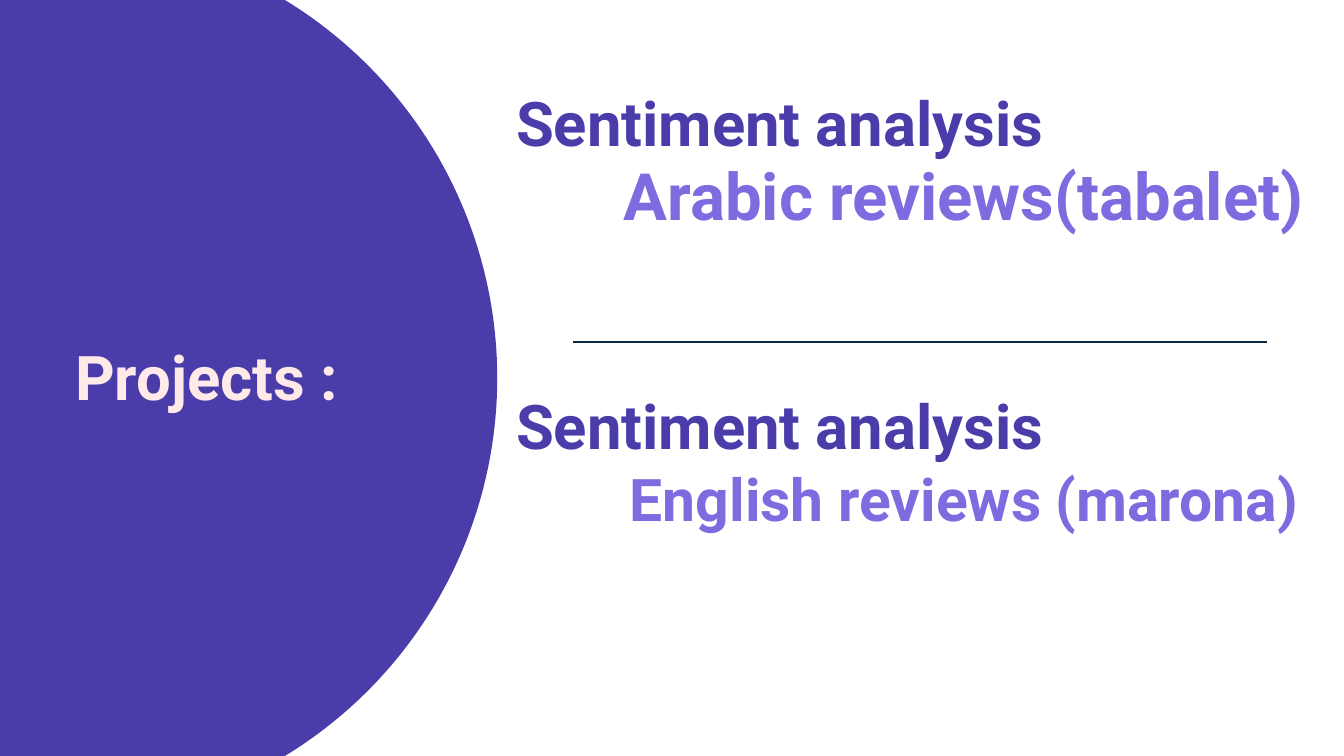
import math
from lxml import etree
from pptx import Presentation
from pptx.dml.color import RGBColor
from pptx.enum.shapes import MSO_CONNECTOR
from pptx.enum.text import MSO_ANCHOR, MSO_AUTO_SIZE, PP_ALIGN
from pptx.oxml.ns import qn
from pptx.util import Inches, Pt

LEFT, CENTER = PP_ALIGN.LEFT, PP_ALIGN.CENTER
TOP = MSO_ANCHOR.TOP
FIXED = MSO_AUTO_SIZE.NONE
STRAIGHT = MSO_CONNECTOR.STRAIGHT
COMPARISON_LAYOUT = 4
WIDTH, HEIGHT = 20, 11.25
FONT = "Roboto"
COLORS = {
    "panel": "4A3DAA",
    "title": "FFE9E9",
    "source": "7E6BDF",
    "rule": "0E2841",
    "page": "FFFFFF",
}


def color(name):
    return RGBColor.from_string(COLORS[name])


class ProjectSlide:
    def __init__(self, deck):
        self.page = deck.slides.add_slide(deck.slide_layouts[COMPARISON_LAYOUT])
        self.page.background.fill.solid()
        self.page.background.fill.fore_color.rgb = color("page")

    def x(self, share):
        return Inches(WIDTH * share)

    def y(self, share):
        return Inches(HEIGHT * share)

    def round_panel(self, edge, reach, steps=90):
        chord, half = WIDTH * edge, HEIGHT / 2
        bulge = WIDTH * reach - chord
        radius = (half**2 + bulge**2) / (2 * bulge)
        center = WIDTH * reach - radius
        sweep = math.asin(half / radius)
        angles = [sweep * (2 * step / steps - 1) for step in range(steps + 1)]
        arc = [
            (Inches(center + radius * math.cos(angle)), Inches(half + radius * math.sin(angle)))
            for angle in angles
        ]
        builder = self.page.shapes.build_freeform(0, 0)
        builder.add_line_segments(arc + [(0, self.y(1))], close=True)
        panel = builder.convert_to_shape()
        panel.shadow.inherit = False
        panel.fill.solid()
        panel.fill.fore_color.rgb = color("panel")
        panel.line.fill.background()
        self.page.shapes._spTree.insert(2, panel._element)

    def text(self, index, words, left, top, width, height, size, ink, align=LEFT):
        box = self.page.placeholders[index]
        box.left, box.top = self.x(left), self.y(top)
        box.width, box.height = self.x(width), self.y(height)
        frame = box.text_frame
        frame.text = words
        frame.word_wrap = True
        frame.auto_size = FIXED
        frame.vertical_anchor = TOP
        frame.margin_left = frame.margin_right = frame.margin_top = frame.margin_bottom = 0
        para = frame.paragraphs[0]
        para.alignment = align
        para.line_spacing = Pt(round(size * 1.08, 1))
        para.space_before = para.space_after = Pt(0)
        properties = para._p.get_or_add_pPr()
        properties.set("marL", "0")
        properties.set("indent", "0")
        etree.SubElement(properties, qn("a:buNone"))
        font = para.runs[0].font
        font.name, font.size, font.bold = FONT, Pt(size), True
        font.color.rgb = color(ink)

    def rule(self, left, right, level):
        line = self.page.shapes.add_connector(
            STRAIGHT, self.x(left), self.y(level), self.x(right), self.y(level)
        )
        line.line.color.rgb = color("rule")
        line.line.width = Pt(2)
        etree.SubElement(line._element.spPr, qn("a:effectLst"))


def main():
    deck = Presentation()
    deck.slide_width, deck.slide_height = Inches(WIDTH), Inches(HEIGHT)
    slide = ProjectSlide(deck)
    slide.round_panel(0.212, 0.37)
    slide.text(0, "Projects :", 0.056, 0.4578, 0.232, 0.0942, 66, "title")
    projects = [
        (0.1227, 0.216, "Arabic reviews(tabalet)", 69.9),
        (0.5227, 0.6213, "English reviews (marona)", 63),
    ]
    for number, (heading_top, source_top, source, size) in enumerate(projects):
        first = 1 + 2 * number
        slide.text(first, "Sentiment analysis", 0.384, heading_top, 0.5, 0.0942, 66, "panel")
        slide.text(first + 1, source, 0.4505, source_top, 0.5335, 0.0987, size, "source", CENTER)
    slide.rule(0.4265, 0.943, 0.4525)
    deck.save("out.pptx")


if __name__ == "__main__":
    main()
